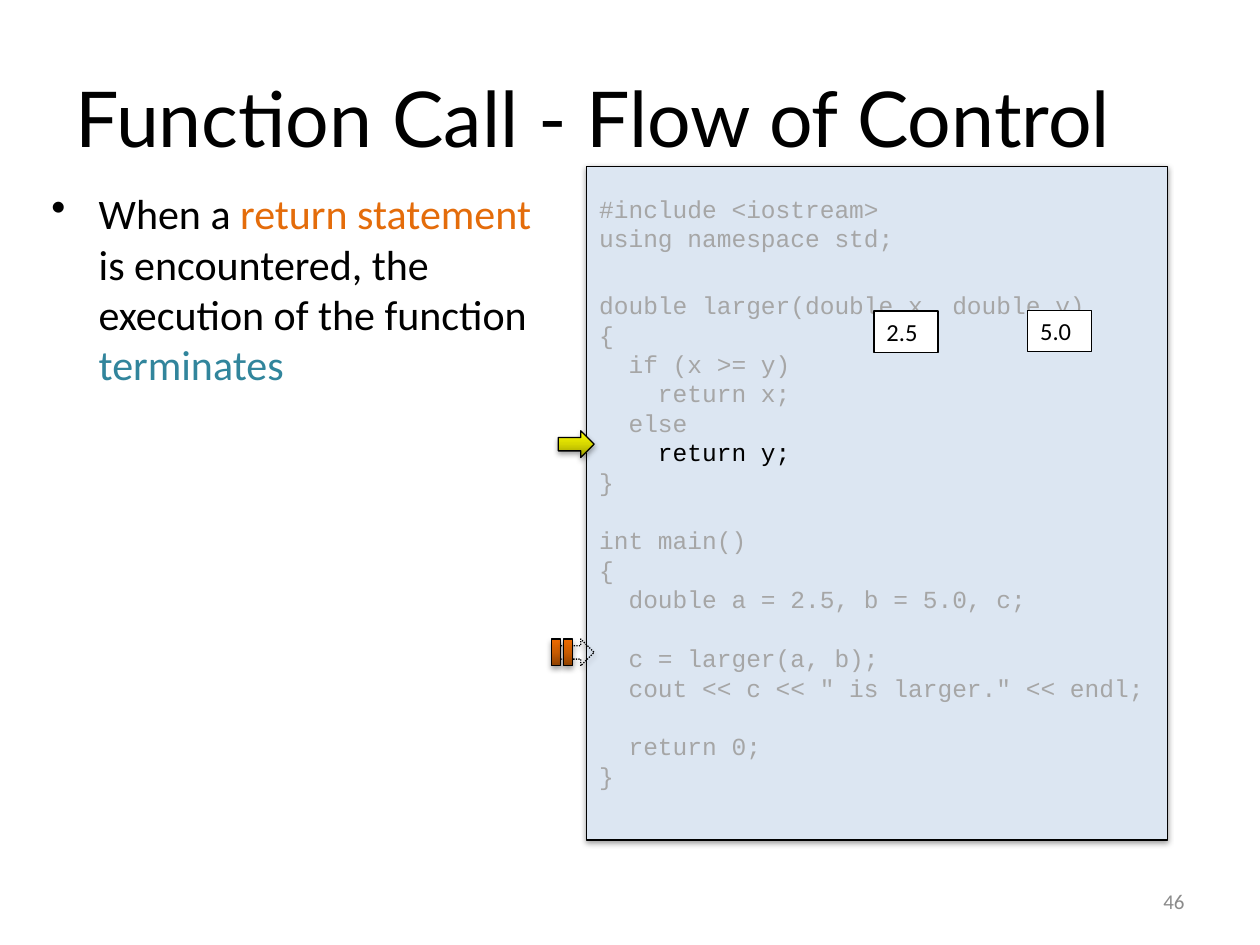
"""Build a slide that follows the flow of control through a function call."""
from dataclasses import dataclass
from typing import Any, Optional

import lxml.etree
import pptx
import pptx.dml.color
import pptx.enum.dml
import pptx.enum.shapes
import pptx.enum.text
import pptx.oxml
import pptx.oxml.ns
import pptx.presentation
import pptx.util

Pt = pptx.util.Pt
Align = pptx.enum.text.PP_ALIGN
Anchor = pptx.enum.text.MSO_ANCHOR
Preset = pptx.enum.shapes.MSO_SHAPE


@dataclass(frozen=True)
class Theme:
    black: str = "000000"
    white: str = "FFFFFF"
    orange: str = "E46C0A"
    teal: str = "31859C"
    panel: str = "DCE6F2"
    dimmed: str = "A6A6A6"
    number: str = "8B8B8B"
    yellow_gradient: tuple = ((0, "979700"), (50, "D6D600"), (100, "FFFF00"))
    orange_gradient: tuple = ((0, "8D4000"), (50, "C85B00"), (100, "EE6B00"))
    title_size: float = 44
    body_size: float = 24
    code_size: float = 14
    number_size: float = 12
    code_pitch: float = 16.8
    line_width: float = 0.75
    title_font: str = "Lato"
    body_font: str = "Calibri"
    code_font: str = "Courier New"


THEME = Theme()


@dataclass(frozen=True)
class Box:
    left: float
    top: float
    width: float
    height: float

    def lengths(self) -> tuple:
        return Pt(self.left), Pt(self.top), Pt(self.width), Pt(self.height)


@dataclass(frozen=True)
class CodeLine:
    text: str
    gap: float = 0
    active: bool = False


@dataclass(frozen=True)
class Shadow:
    opacity: int
    blur: float
    distance: float


@dataclass(frozen=True)
class Value:
    text: str
    box: Box


PANEL_SHADOW = Shadow(38, 3.1, 1.6)
MARKER_SHADOW = Shadow(35, 3.1, 1.8)
BLANK = THEME.code_pitch
CODE = (
    CodeLine("#include <iostream>"),
    CodeLine("using namespace std;"),
    CodeLine("double larger(double x, double y)", gap=21.5),
    CodeLine("{"),
    CodeLine("  if (x >= y)"),
    CodeLine("    return x;"),
    CodeLine("  else"),
    CodeLine("    return y;", active=True),
    CodeLine("}"),
    CodeLine("int main()", gap=BLANK),
    CodeLine("{"),
    CodeLine("  double a = 2.5, b = 5.0, c;"),
    CodeLine("  c = larger(a, b);", gap=BLANK),
    CodeLine('  cout << c << " is larger." << endl;'),
    CodeLine("  return 0;", gap=BLANK),
    CodeLine("}"),
)
VALUES = (
    Value("2.5", Box(499.5, 177.8, 36.5, 23.7)),
    Value("5.0", Box(587.3, 177.3, 36.5, 23.7)),
)


def color(code: str) -> Any:
    return pptx.dml.color.RGBColor.from_string(code)


def add_run(paragraph: Any, text: str, size: float, font: str, code: str) -> None:
    run = paragraph.add_run()
    run.text = text
    run.font.size = Pt(size)
    run.font.name = font
    run.font.color.rgb = color(code)


def add_text_box(slide: Any, box: Box, anchor: Any = Anchor.TOP) -> Any:
    frame = slide.shapes.add_textbox(*box.lengths()).text_frame
    frame.word_wrap = True
    frame.vertical_anchor = anchor
    return frame.paragraphs[0]


def add_shadow(shape: Any, shadow: Shadow) -> None:
    effects = shape._element.spPr.find(pptx.oxml.ns.qn("a:effectLst"))
    effects.append(pptx.oxml.parse_xml(
        f'<a:outerShdw {pptx.oxml.ns.nsdecls("a")} blurRad="{Pt(shadow.blur)}" '
        f'dist="{Pt(shadow.distance)}" dir="5400000" rotWithShape="0">'
        f'<a:srgbClr val="{THEME.black}"><a:alpha val="{shadow.opacity * 1000}"/>'
        '</a:srgbClr></a:outerShdw>'))


def fill_gradient(shape: Any, stops: tuple) -> None:
    shape.fill.gradient()
    gradient = shape._element.spPr.find(pptx.oxml.ns.qn("a:gradFill"))
    stop_list = gradient.find(pptx.oxml.ns.qn("a:gsLst"))
    for stop in list(stop_list):
        stop_list.remove(stop)
    for position, code in stops:
        stop_list.append(pptx.oxml.parse_xml(
            f'<a:gs {pptx.oxml.ns.nsdecls("a")} pos="{position * 1000}">'
            f'<a:srgbClr val="{code}"/></a:gs>'))
    gradient.find(pptx.oxml.ns.qn("a:lin")).set("ang", "16200000")


def add_outlined(shapes: Any, preset: Any, box: Box, fill: Any = None,
                 shadow: Optional[Shadow] = None) -> Any:
    shape = shapes.add_shape(preset, *box.lengths())
    shape.shadow.inherit = False
    shape.line.color.rgb = color(THEME.black)
    shape.line.width = Pt(THEME.line_width)
    if fill is None:
        shape.fill.background()
    elif isinstance(fill, str):
        shape.fill.solid()
        shape.fill.fore_color.rgb = color(fill)
    else:
        fill_gradient(shape, fill)
    if shadow:
        add_shadow(shape, shadow)
    return shape


def add_explanation(slide: Any) -> None:
    paragraph = add_text_box(slide, Box(22.3, 103.7, 292.3, 386.6))
    properties = paragraph._p.get_or_add_pPr()
    properties.set("marL", str(Pt(27)))
    properties.set("indent", str(Pt(-27)))
    bullet = lxml.etree.SubElement(properties, pptx.oxml.ns.qn("a:buChar"))
    bullet.set("char", "•")
    for text, code in (
        ("When a ", THEME.black),
        ("return statement ", THEME.orange),
        ("is encountered, the execution of the function ", THEME.black),
        ("terminates", THEME.teal),
    ):
        add_run(paragraph, text, THEME.body_size, THEME.body_font, code)


def add_code_panel(slide: Any) -> None:
    panel = add_outlined(slide.shapes, Preset.RECTANGLE, Box(335.3, 95, 332, 385),
                         THEME.panel, PANEL_SHADOW)
    frame = panel.text_frame
    frame.word_wrap = True
    frame.vertical_anchor = Anchor.TOP
    frame.margin_top = Pt(15.7)
    for index, line in enumerate(CODE):
        paragraph = frame.add_paragraph() if index else frame.paragraphs[0]
        paragraph.alignment = Align.LEFT
        paragraph.line_spacing = Pt(THEME.code_pitch)
        if line.gap:
            paragraph.space_before = Pt(line.gap)
        add_run(paragraph, line.text, THEME.code_size, THEME.code_font,
                THEME.black if line.active else THEME.dimmed)


def add_markers(slide: Any) -> None:
    add_outlined(slide.shapes, Preset.RIGHT_ARROW, Box(319, 246.2, 20.5, 15.3),
                 THEME.yellow_gradient, MARKER_SHADOW)
    paused = slide.shapes.add_group_shape()
    arrow = add_outlined(paused.shapes, Preset.RIGHT_ARROW, Box(319, 365.2, 20.5, 15.3),
                         shadow=MARKER_SHADOW)
    arrow.line.dash_style = pptx.enum.dml.MSO_LINE.ROUND_DOT
    for left in (315, 322):
        add_outlined(paused.shapes, Preset.RECTANGLE, Box(left, 365.2, 5.2, 15.3),
                     THEME.orange_gradient, MARKER_SHADOW)


def add_value(slide: Any, value: Value) -> None:
    frame = add_outlined(slide.shapes, Preset.RECTANGLE, value.box, THEME.white).text_frame
    frame.word_wrap = False
    frame.vertical_anchor = Anchor.TOP
    paragraph = frame.paragraphs[0]
    paragraph.alignment = Align.LEFT
    add_run(paragraph, value.text, THEME.code_size, THEME.body_font, THEME.black)


def main() -> None:
    presentation = pptx.Presentation()
    presentation.slide_width, presentation.slide_height = Pt(720), Pt(540)
    slide = presentation.slides.add_slide(presentation.slide_layouts[6])
    title = add_text_box(slide, Box(36, 21.6, 648, 90), Anchor.MIDDLE)
    add_run(title, "Function Call - Flow of Control", THEME.title_size,
            THEME.title_font, THEME.black)
    add_explanation(slide)
    add_code_panel(slide)
    add_markers(slide)
    number = add_text_box(slide, Box(516, 500.5, 168, 28.8), Anchor.MIDDLE)
    number.alignment = Align.RIGHT
    add_run(number, "46", THEME.number_size, THEME.body_font, THEME.number)
    for value in VALUES:
        add_value(slide, value)
    presentation.save("out.pptx")


if __name__ == "__main__":
    main()
